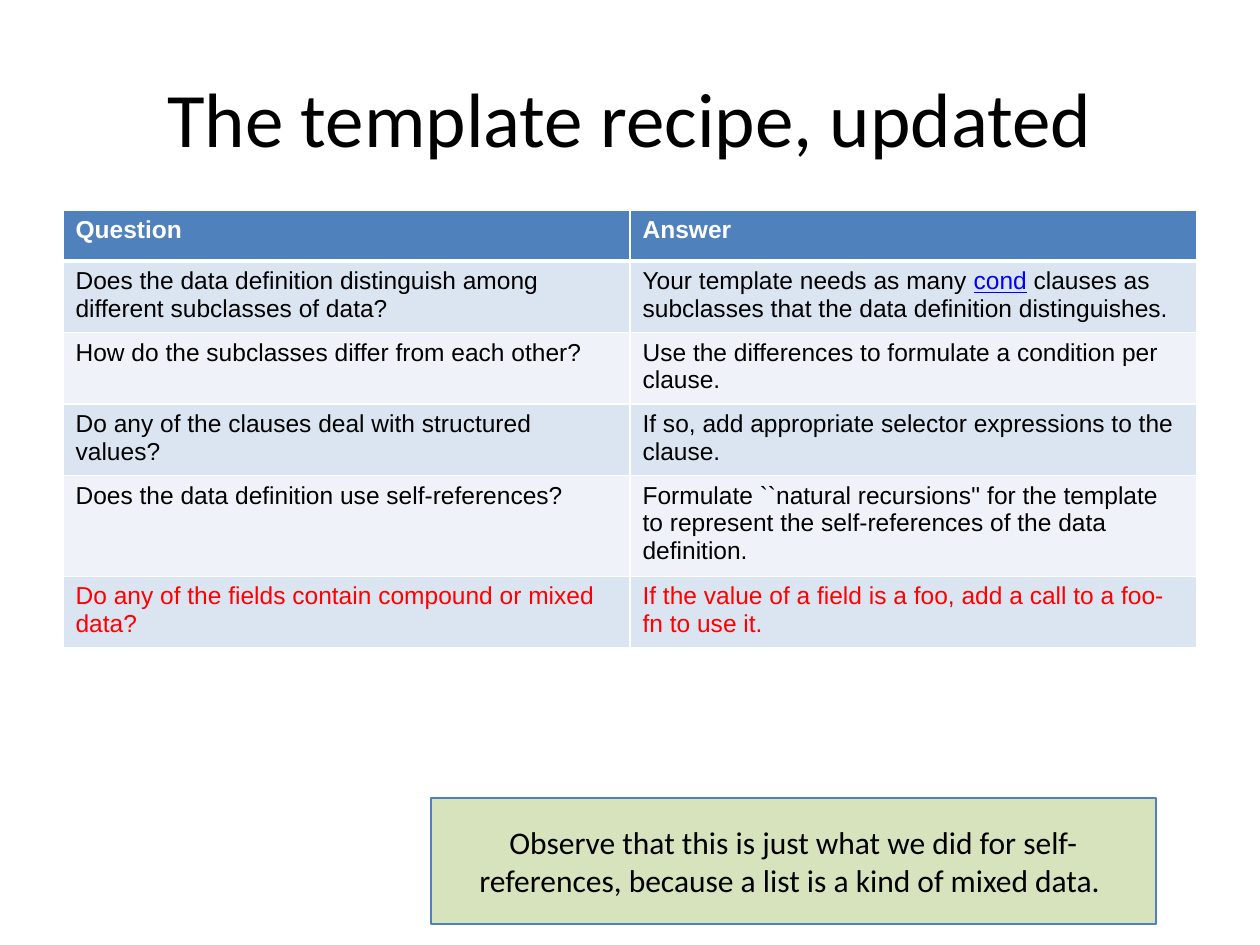
from lxml.etree import SubElement
from pptx import Presentation
from pptx.dml.color import RGBColor
from pptx.enum.shapes import MSO_SHAPE as Shape
from pptx.enum.text import MSO_ANCHOR as Anchor, PP_ALIGN as Align
from pptx.oxml.ns import qn
from pptx.util import Emu, Pt

PX_PER_INCH = 126
WHITE = RGBColor(0xFF, 0xFF, 0xFF)
BLACK = RGBColor(0x00, 0x00, 0x00)
RED = RGBColor(0xFF, 0x00, 0x00)
LINK_BLUE = RGBColor(0x00, 0x00, 0xFF)
HEADER_BLUE = RGBColor(0x4F, 0x81, 0xBD)
BANDS = (RGBColor(0xDB, 0xE5, 0xF1), RGBColor(0xEF, 0xF3, 0xF9))
NOTE_GREEN = RGBColor(0xD6, 0xE3, 0xBC)

LINKED_WORD = "cond"
RECIPE = [
    ("Question", "Answer"),
    ("Does the data definition distinguish among different subclasses of data?",
     "Your template needs as many cond clauses as subclasses that the data definition distinguishes."),
    ("How do the subclasses differ from each other?",
     "Use the differences to formulate a condition per clause."),
    ("Do any of the clauses deal with structured values?",
     "If so, add appropriate selector expressions to the clause."),
    ("Does the data definition use self-references?",
     "Formulate ``natural recursions'' for the template to represent the self-references of the data definition."),
    ("Do any of the fields contain compound or mixed data?",
     "If the value of a field is a foo, add a call to a foo-fn to use it."),
]


def px(length):
    return Emu(round(length * 914400 / PX_PER_INCH))


def set_font(font, name, size, color, bold=False):
    font.name, font.size, font.bold = name, Pt(size), bold
    font.color.rgb = color


def write_centred(frame, text, size):
    frame.word_wrap = True
    frame.vertical_anchor = Anchor.MIDDLE
    paragraph = frame.paragraphs[0]
    paragraph.text = text
    paragraph.alignment = Align.CENTER
    set_font(paragraph.font, "Calibri", size, BLACK)


def add_title(slide, left, top, width, height):
    title = slide.shapes.add_textbox(px(left), px(top), px(width), px(height))
    write_centred(title.text_frame, "The template recipe, updated", 44)


def set_borders(cell, **widths):
    """Draw white cell borders; widths in points are keyed by side: L, R, T, B."""
    properties = cell._tc.get_or_add_tcPr()
    for side, width in widths.items():
        line = SubElement(properties, qn(f"a:ln{side}"), w=str(Pt(width)))
        fill = SubElement(line, qn("a:solidFill"))
        SubElement(fill, qn("a:srgbClr"), val=str(WHITE))


def write_answer_with_link(paragraph, text):
    before, after = text.split(LINKED_WORD)
    paragraph.add_run().text = before
    linked = paragraph.add_run()
    linked.text = LINKED_WORD
    linked.font.underline = True
    linked.font.color.rgb = LINK_BLUE
    paragraph.add_run().text = after


def add_recipe_table(slide, left, top, width, row_height):
    row_count, column_count = len(RECIPE), len(RECIPE[0])
    table = slide.shapes.add_table(row_count, column_count, px(left), px(top),
                                   px(width), px(row_height * row_count)).table
    for row, texts in enumerate(RECIPE):
        is_header = row == 0
        color = WHITE if is_header else RED if row == row_count - 1 else BLACK
        for column, text in enumerate(texts):
            cell = table.cell(row, column)
            set_borders(cell, L=1, R=1, T=3 if row == 1 else 1, B=3 if is_header else 1)
            cell.fill.solid()
            cell.fill.fore_color.rgb = HEADER_BLUE if is_header else BANDS[(row - 1) % 2]
            paragraph = cell.text_frame.paragraphs[0]
            if LINKED_WORD in text.split():
                write_answer_with_link(paragraph, text)
            else:
                paragraph.text = text
            set_font(paragraph.font, "Arial", 14, color, bold=is_header)


def add_note(slide, left, top, width, height):
    note = slide.shapes.add_shape(Shape.RECTANGLE, px(left), px(top), px(width), px(height))
    note.shadow.inherit = False
    note.fill.solid()
    note.fill.fore_color.rgb = NOTE_GREEN
    note.line.color.rgb = HEADER_BLUE
    note.line.width = Pt(0.75)
    write_centred(note.text_frame, "Observe that this is just what we did for self-references, "
                  "because a list is a kind of mixed data. ", 18)


def main():
    presentation = Presentation()
    presentation.slide_width, presentation.slide_height = px(1260), px(945)
    slide = presentation.slides.add_slide(presentation.slide_layouts[6])
    add_title(slide, 63, 38, 1134, 157)
    add_recipe_table(slide, 63, 210, 1134, 51)
    add_note(slide, 431, 798, 725, 126)
    presentation.save("out.pptx")


if __name__ == "__main__":
    main()
